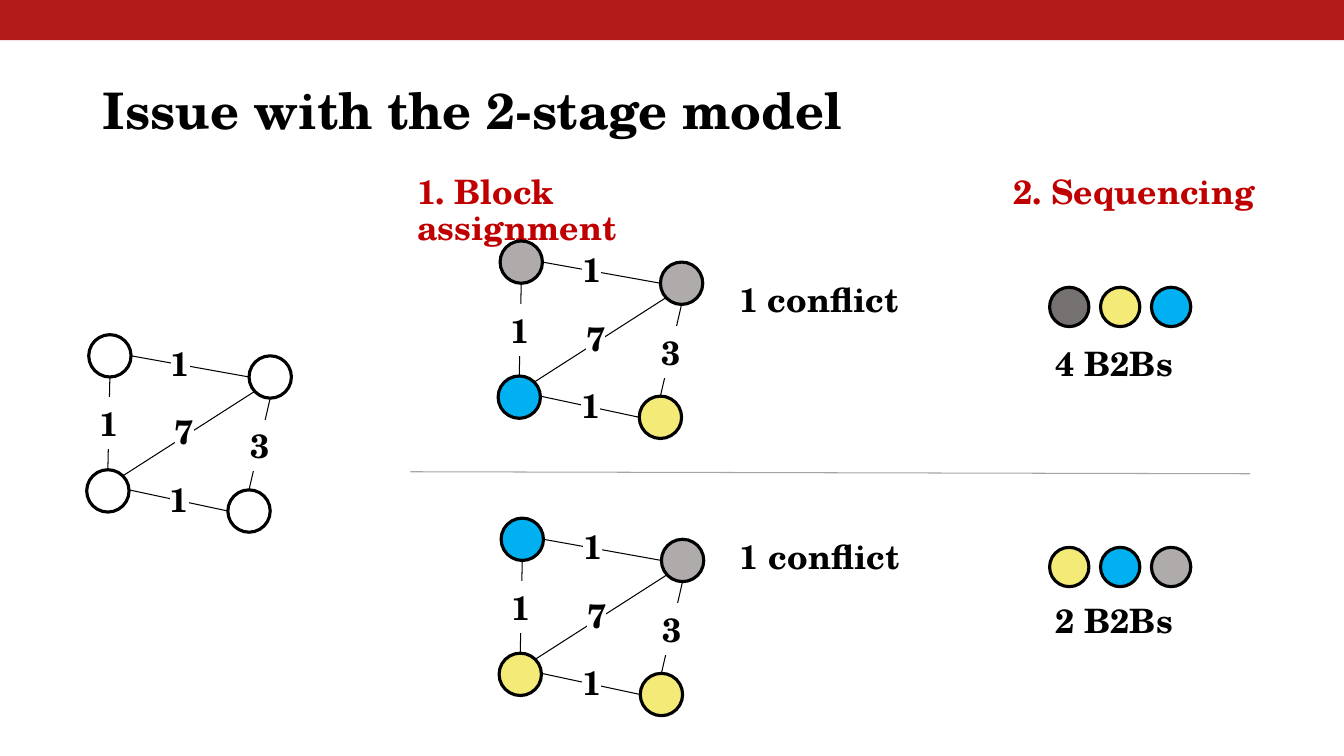
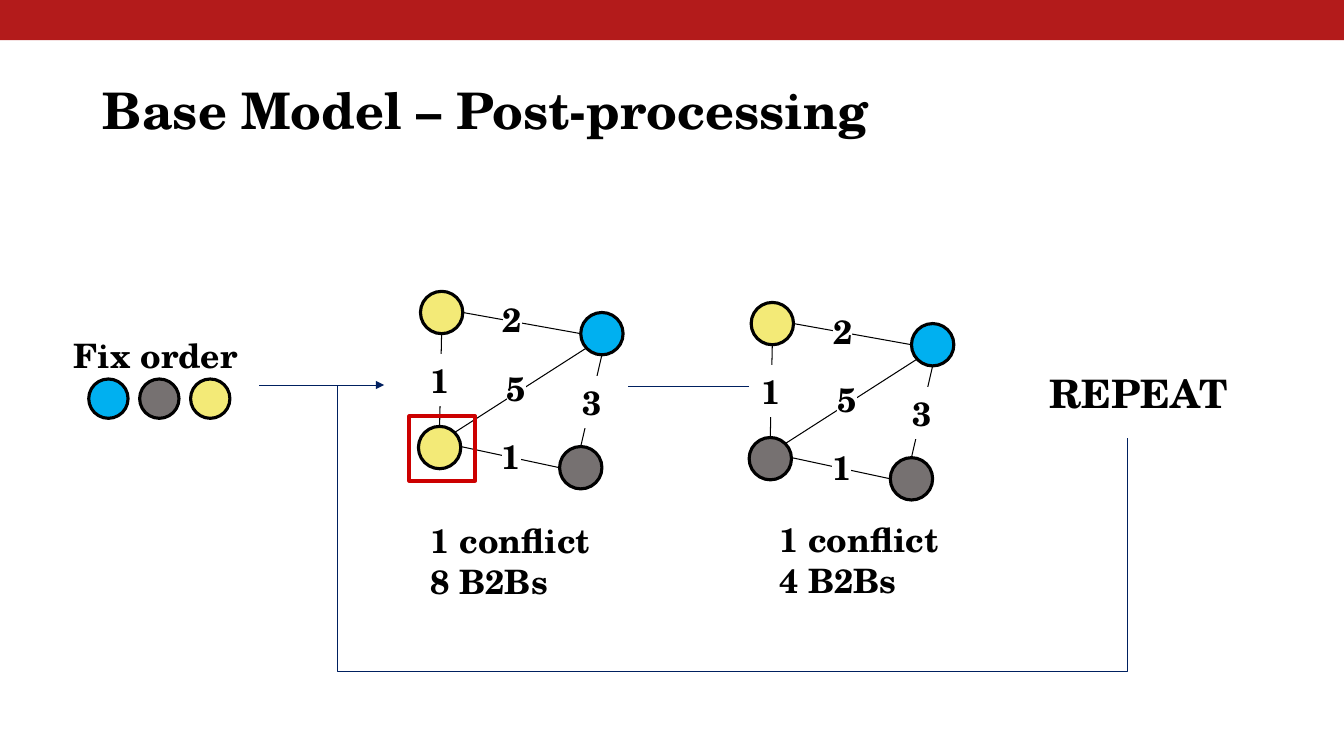
from lxml.etree import SubElement
from pptx import Presentation
from pptx.dml.color import RGBColor
from pptx.enum.shapes import MSO_CONNECTOR as Connector, MSO_SHAPE as Preset
from pptx.enum.text import MSO_ANCHOR as Anchor, MSO_AUTO_SIZE as AutoSize, PP_ALIGN as Align
from pptx.oxml import parse_xml
from pptx.oxml.ns import nsdecls, qn
from pptx.util import Inches, Pt

hex_color = RGBColor.from_string

FONT = "TeX Gyre Schola"
BLACK, WHITE, BAND_RED = "000000", "FFFFFF", "B31B1B"
HEADING_RED, MARKER_RED, NAVY, RULE_GREY = "C00000", "CC0000", "002060", "A5A5A5"
BLUE, YELLOW, LIGHT_GREY, DARK_GREY = "00B0F0", "F3EA77", "AFABAB", "767171"

NODE_SIZE, STEP_SIZE, STEP_PITCH = 0.42, 0.39, 0.505
LABEL_WIDTH, LABEL_HEIGHT = 0.62, 0.58
NODE_OFFSETS = [(0, 0), (1.59, 0.21), (-0.02, 1.34), (1.38, 1.54)]
EDGE_OFFSETS = [
    ((0.42, 0.21), (1.59, 0.42), (0.6, -0.01)),
    ((0.21, 0.42), (0.19, 1.34), (-0.11, 0.59)),
    ((0.34, 1.4), (1.65, 0.56), (0.64, 0.67)),
    ((1.59, 1.54), (1.8, 0.63), (1.39, 0.81)),
    ((1.38, 1.75), (0.4, 1.54), (0.59, 1.34)),
]

SLIDES = [
    {
        "title": "Issue with the 2-stage model",
        "rules": [((4.07, 4.68), (12.4, 4.7), RULE_GREY)],
        "headings": [("1. Block assignment", 4.01), ("2. Sequencing", 9.92)],
        "graphs": [
            (0.88, 3.32, [WHITE] * 4, "11731"),
            (4.96, 2.39, [LIGHT_GREY, LIGHT_GREY, BLUE, YELLOW], "11731"),
            (4.97, 5.14, [BLUE, LIGHT_GREY, YELLOW, YELLOW], "11731"),
        ],
        "notes": [
            ("1 conflict", 7.2, 2.64, 24),
            ("1 conflict", 7.21, 5.19, 24),
            ("4 B2Bs", 10.34, 3.27, 24),
            ("2 B2Bs", 10.34, 5.82, 24),
        ],
        "sequences": [
            (10.41, 2.85, [DARK_GREY, YELLOW, BLUE]),
            (10.41, 5.43, [YELLOW, BLUE, LIGHT_GREY]),
        ],
    },
    {
        "title": "Base Model – Post-processing",
        "rules": [
            ((3.77, 3.82), (2.57, 3.82), NAVY),
            ((7.43, 3.83), (6.23, 3.83), NAVY),
        ],
        "headings": [],
        "graphs": [
            (4.17, 2.89, [YELLOW, BLUE, YELLOW, DARK_GREY], "21531"),
            (7.45, 3, [YELLOW, BLUE, DARK_GREY, DARK_GREY], "21531"),
        ],
        "notes": [
            ("1 conflict\n8 B2Bs", 4.14, 5.03, 24),
            ("1 conflict\n4 B2Bs", 7.6, 5.02, 24),
            ("REPEAT", 10.28, 3.53, 28),
            ("Fix order", 0.6, 3.19, 24),
        ],
        "sequences": [(0.88, 3.76, [BLUE, DARK_GREY, YELLOW])],
    },
]


def style(shape, line, width=0.75, fill=None):
    if line:
        shape.line.color.rgb = hex_color(line)
        shape.line.width = Pt(width)
    else:
        shape.line.fill.background()
    if fill:
        shape.fill.solid()
        shape.fill.fore_color.rgb = hex_color(fill)
    elif hasattr(shape, "fill"):
        shape.fill.background()
    SubElement(shape._element.spPr, qn("a:effectLst"))


def write(shape, text, size=24, color=BLACK, margin=0.13, anchor=Anchor.TOP,
          align=Align.LEFT, spacing=1.0, highlight=None):
    frame = shape.text_frame
    frame.text = text
    frame_format = {"word_wrap": True, "auto_size": AutoSize.NONE, "vertical_anchor": anchor}
    for side in ("left", "right", "top", "bottom"):
        frame_format[f"margin_{side}"] = Inches(margin)
    for name, value in frame_format.items():
        setattr(frame, name, value)
    for paragraph in frame.paragraphs:
        for name, value in {"alignment": align, "line_spacing": spacing}.items():
            setattr(paragraph, name, value)
        font = paragraph.runs[0].font
        for name, value in {"name": FONT, "size": Pt(size), "bold": True}.items():
            setattr(font, name, value)
        font.color.rgb = hex_color(color)
        if highlight:
            properties = paragraph.runs[0]._r.get_or_add_rPr()
            properties.find(qn("a:solidFill")).addnext(parse_xml(
                f'<a:highlight {nsdecls("a")}><a:srgbClr val="{highlight}"/></a:highlight>'))


presentation = Presentation()
presentation.slide_width = Inches(13.33)
presentation.slide_height = Inches(7.5)
title_only = presentation.slide_layouts[5]

for content in SLIDES:
    slide = presentation.slides.add_slide(title_only)
    title = slide.shapes.title
    title_box = {"left": 0.92, "top": 0.4, "width": 11.5, "height": 1.45}
    for name, value in title_box.items():
        setattr(title, name, Inches(value))
    write(title, content["title"], size=36, margin=0.1, anchor=Anchor.MIDDLE, spacing=0.9)

    for start, end, color in content["rules"]:
        rule = slide.shapes.add_connector(
            Connector.STRAIGHT, *(Inches(value) for value in start + end))
        style(rule, color)

    for text, left in content["headings"]:
        heading = slide.shapes.add_textbox(Inches(left), Inches(1.61), Inches(3.64), Inches(0.7))
        write(heading, text, color=HEADING_RED, spacing=0.9)

    for left, top, colors, weights in content["graphs"]:
        graph = slide.shapes.add_group_shape().shapes
        for (across, down), color in zip(NODE_OFFSETS, colors):
            node = graph.add_shape(
                Preset.OVAL, Inches(left + across), Inches(top + down),
                Inches(NODE_SIZE), Inches(NODE_SIZE))
            style(node, BLACK, 2.25, color)
        for start, end, _ in EDGE_OFFSETS:
            edge = graph.add_connector(
                Connector.STRAIGHT, Inches(left + start[0]), Inches(top + start[1]),
                Inches(left + end[0]), Inches(top + end[1]))
            style(edge, BLACK)
        for (_, _, (across, down)), weight in zip(EDGE_OFFSETS, weights):
            label = graph.add_textbox(
                Inches(left + across), Inches(top + down),
                Inches(LABEL_WIDTH), Inches(LABEL_HEIGHT))
            write(label, weight, anchor=Anchor.MIDDLE, align=Align.CENTER, highlight=WHITE)

    for text, left, top, size in content["notes"]:
        height = 0.67 + 0.41 * text.count("\n")
        note = slide.shapes.add_textbox(
            Inches(left), Inches(top), Inches(2.34), Inches(height))
        write(note, text, size=size)

    for left, top, colors in content["sequences"]:
        for index, color in enumerate(colors):
            step = slide.shapes.add_shape(
                Preset.OVAL, Inches(left + index * STEP_PITCH), Inches(top),
                Inches(STEP_SIZE), Inches(STEP_SIZE))
            style(step, BLACK, 2.25, color)

marker = slide.shapes.add_shape(
    Preset.RECTANGLE, Inches(4.06), Inches(4.13), Inches(0.65), Inches(0.64))
style(marker, MARKER_RED, 3)

loop_points = [(11.18, 6.66), (3.35, 6.66), (3.35, 3.82), (3.81, 3.82)]
builder = slide.shapes.build_freeform(Inches(11.18), Inches(4.35))
builder.add_line_segments([(Inches(x), Inches(y)) for x, y in loop_points], close=False)
repeat_loop = builder.convert_to_shape()
style(repeat_loop, NAVY)
SubElement(repeat_loop.line._get_or_add_ln(), qn("a:tailEnd"), type="triangle")

band = slide.shapes.add_shape(
    Preset.RECTANGLE, 0, 0, presentation.slide_width, Inches(0.4))
style(band, None, fill=BAND_RED)
title_only.shapes._spTree.insert(2, band._element)

presentation.save("out.pptx")
